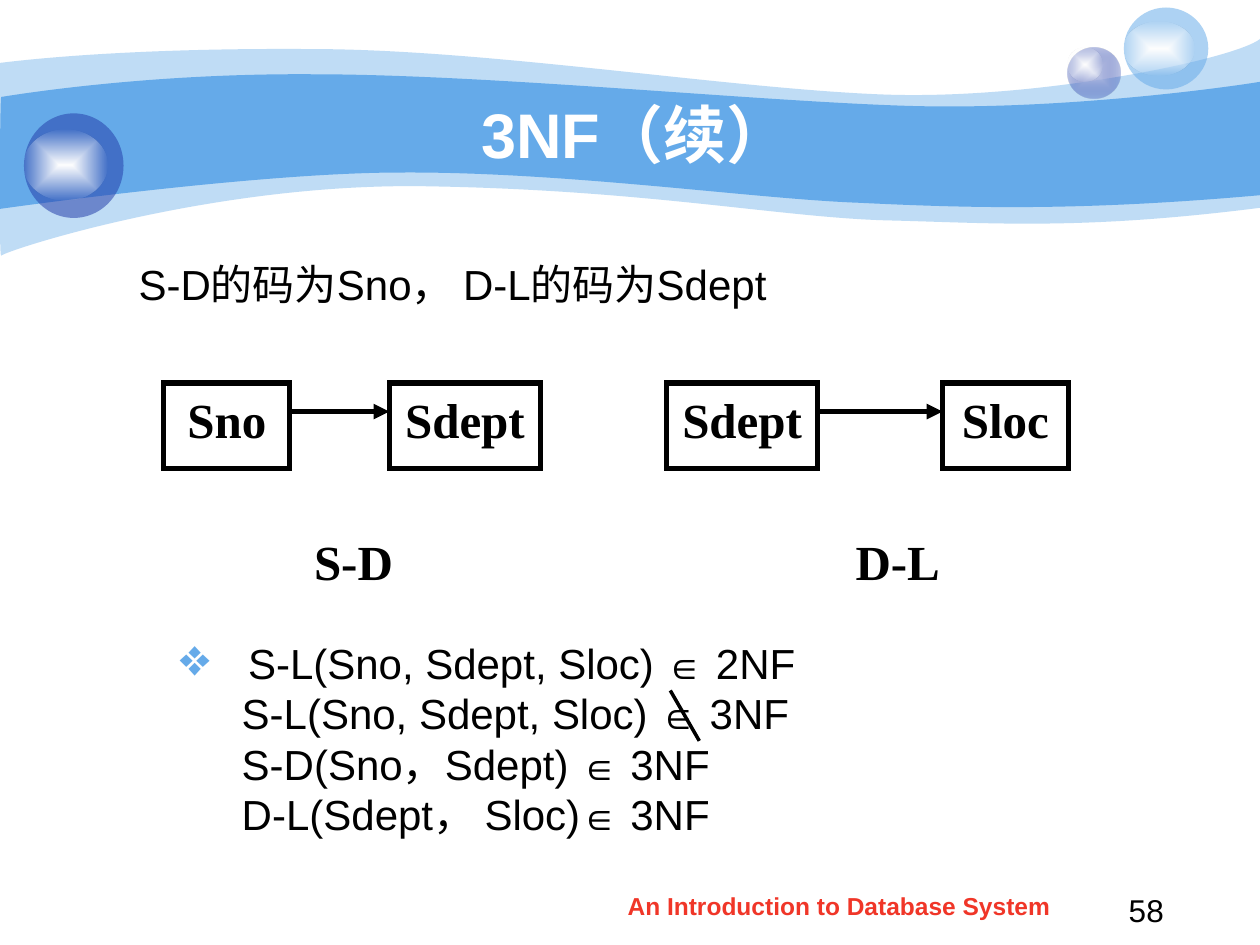
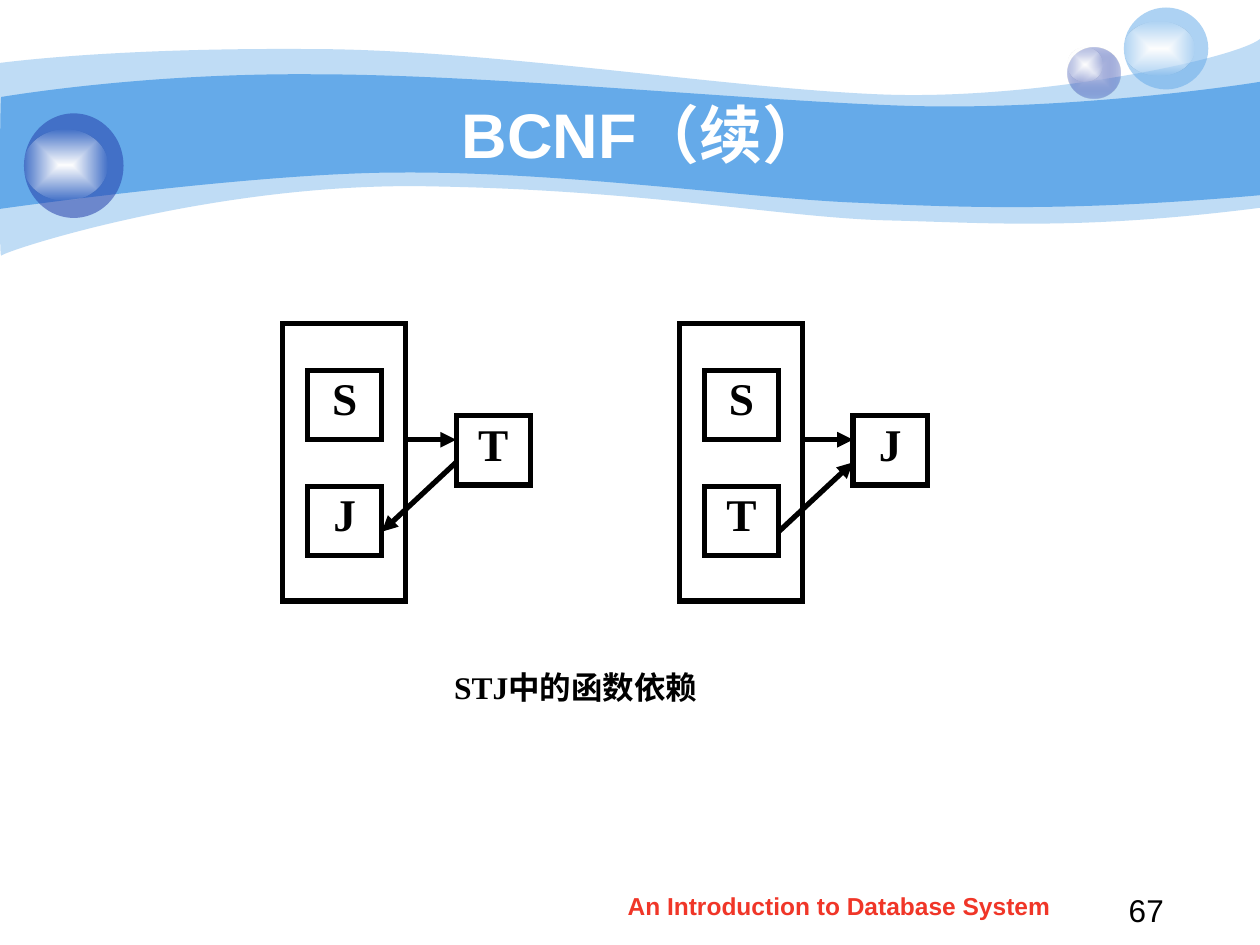
from lxml.etree import SubElement
from pptx import Presentation
from pptx.dml.color import RGBColor
from pptx.enum.shapes import MSO_CONNECTOR as Connector, MSO_SHAPE as Shape
from pptx.enum.text import MSO_ANCHOR as Anchor, MSO_AUTO_SIZE as AutoSize, PP_ALIGN as Align
from pptx.oxml import parse_xml
from pptx.oxml.ns import nsdecls, qn
from pptx.util import Inches, Pt

SKY = RGBColor(0x65, 0xAA, 0xE9)
NAVY = RGBColor(0x23, 0x3D, 0xA9)
LAVENDER = RGBColor(0xC7, 0xCE, 0xE9)
RED = RGBColor(0xF0, 0x36, 0x28)
BLACK = RGBColor(0, 0, 0)
WHITE = RGBColor(0xFF, 0xFF, 0xFF)

SANS, SERIF = "Arial", "Times New Roman"

# The slide is a grid of 100 columns by 75 rows of square cells.
COLUMNS, ROWS = 100, 75
CELL = Inches(0.1)
TITLE_AND_BODY, TITLE_ONLY = 1, 5

# Each band: start point, then lines (x, y) or curves (two controls and the end).
PALE_BAND = ((0, 5), [
    (2.4, 4.7, 10.7, 3.8, 24.7, 3.9), (38.6, 3.9, 57.5, 7, 69.9, 7.5),
    (82.2, 8, 98, 4.7, 100, 3.1), (100, 16.5),
    (85.8, 18.3, 78.7, 17.7, 70.5, 17.5), (62.2, 17.3, 51.5, 15.1, 34.3, 14.8),
    (17.2, 14.4, 0.4, 19.9, 0.1, 20.3), (-0.1, 20.8, 0, 7.5, 0, 5)])
STRONG_BAND = ((0.1, 7.7), [
    (0.2, 7.7, 11, 5.8, 24.8, 5.9), (38.6, 5.9, 59.5, 8, 71.8, 8.4),
    (84.1, 8.8, 97.6, 6.9, 100, 6.5), (100, 15.5),
    (85.3, 16.8, 76.5, 16.5, 68.2, 16.1), (59.9, 15.8, 44.7, 13.6, 31.7, 13.7),
    (20.3, 13.7, -0.2, 16.6, -0.1, 16.6), (0, 16.6, 0, 7.7, 0.1, 7.7)])

# Each ball: its disc, its shine, and the colour stops (colour, opacity) of the disc.
BALLS = [
    ((84.7, 3.8, 4.2, 4), (84.7, 3.8, 2.8, 2.7), [(LAVENDER, 100), (NAVY, 31)]),
    ((89.2, 0.6, 6.7, 6.5), (89.2, 1.7, 5.6, 4.3), [(SKY, 53)]),
    ((1.9, 9, 7.9, 8.3), (1.9, 10.3, 6.6, 5.6), [(NAVY, 53)]),
]
SHINE = [(WHITE, 100), (WHITE, 0)]


def cells(*lengths):
    return [round(length * CELL) for length in lengths]


def paint(shape, stops):
    """Fill a borderless shape with one translucent colour or a gradient from its centre."""
    colours = [f'<a:srgbClr val="{colour}"><a:alpha val="{opacity * 1000}"/></a:srgbClr>'
               for colour, opacity in stops]
    if len(colours) == 1:
        xml = f'<a:solidFill {nsdecls("a")}>{colours[0]}</a:solidFill>'
    else:
        xml = (f'<a:gradFill {nsdecls("a")} rotWithShape="1"><a:gsLst>'
               f'<a:gs pos="0">{colours[0]}</a:gs><a:gs pos="100000">{colours[1]}</a:gs>'
               '</a:gsLst><a:path path="rect">'
               '<a:fillToRect l="50000" t="50000" r="50000" b="50000"/></a:path></a:gradFill>')
    shape.shadow.inherit = False
    shape.line.fill.background()
    shape.fill.background()
    properties = shape._element.spPr
    properties.replace(properties.find(qn("a:noFill")), parse_xml(xml))


def set_bullet(paragraph, margin=0.0, hang=0.0, symbol=None):
    """Set the left margin, hanging indent and bullet, in grid cells."""
    properties = paragraph._p.get_or_add_pPr()
    left, indent = cells(margin, -hang)
    properties.set("marL", str(left))
    properties.set("indent", str(indent))
    if symbol:
        colour = SubElement(properties, qn("a:buClr"))
        SubElement(colour, qn("a:srgbClr")).set("val", str(SKY))
        SubElement(properties, qn("a:buSzPct")).set("val", "125000")
        SubElement(properties, qn("a:buChar")).set("char", symbol)
    else:
        SubElement(properties, qn("a:buNone"))


def style(paragraph, font_name, size, colour=BLACK, bold=False, align=Align.CENTER):
    paragraph.alignment = align
    font = paragraph.font
    font.name, font.size, font.bold = font_name, Pt(size), bold
    font.color.rgb = colour


class Deck:
    def __init__(self):
        self.presentation = Presentation()
        self.presentation.slide_width = COLUMNS * CELL
        self.presentation.slide_height = ROWS * CELL
        self.slide = None

    def new_slide(self, title, number, layout):
        self.slide = self.presentation.slides.add_slide(
            self.presentation.slide_layouts[layout])
        placeholders = list(self.slide.placeholders)
        self.band(PALE_BAND, 41)
        self.band(STRONG_BAND, 100)
        for disc, shine, stops in BALLS:
            self.ball(disc, stops)
            self.ball(shine, SHINE)
        for placeholder in placeholders:
            self.slide.shapes._spTree.append(placeholder._element)
        paragraph = self.fill_placeholder(
            self.slide.shapes.title, (10, 7.5, 80.8, 6.2), title, Anchor.MIDDLE)
        style(paragraph, SANS, 36, WHITE, bold=True)
        self.text((46.9, 70.2, 39.4, 3.5), "An Introduction to Database System",
                  SANS, 14, RED, bold=True)
        paragraph = self.text((88.6, 70.6, 7.9, 3.7), str(number), SANS, 18,
                              align=Align.LEFT)
        paragraph.line_spacing = 0.9

    def band(self, outline, opacity):
        """Outline the control points, then join each three of a curve into a Bezier."""
        start, segments = outline
        points = [cells(*segment[i:i + 2])
                  for segment in segments for i in range(0, len(segment), 2)]
        builder = self.slide.shapes.build_freeform(*cells(*start))
        builder.add_line_segments(points)
        shape = builder.convert_to_shape()
        steps = iter(list(shape._element.iter(qn("a:lnTo"))))
        for segment in segments:
            step = next(steps)
            if len(segment) == 6:
                step.tag = qn("a:cubicBezTo")
                for _ in range(2):
                    control = next(steps)
                    step.append(control[0])
                    control.getparent().remove(control)
        paint(shape, [(SKY, opacity)])

    def ball(self, place, stops):
        paint(self.slide.shapes.add_shape(Shape.OVAL, *cells(*place)), stops)

    def fill_placeholder(self, placeholder, place, text, anchor):
        (placeholder.left, placeholder.top,
         placeholder.width, placeholder.height) = cells(*place)
        frame = placeholder.text_frame
        frame.auto_size = AutoSize.NONE
        frame.vertical_anchor = anchor
        frame.text = text
        return frame.paragraphs[0]

    def body(self, place, text, margin):
        paragraph = self.fill_placeholder(
            self.slide.placeholders[1], place, text, Anchor.TOP)
        set_bullet(paragraph, margin)
        paragraph.space_before = Pt(0)
        style(paragraph, SANS, 24, align=Align.LEFT)

    def text_frame(self, place):
        frame = self.slide.shapes.add_textbox(*cells(*place)).text_frame
        frame.word_wrap = True
        return frame

    def text(self, place, text, font_name, size, colour=BLACK, bold=False,
             align=Align.CENTER):
        paragraph = self.text_frame(place).paragraphs[0]
        paragraph.text = text
        style(paragraph, font_name, size, colour, bold, align)
        return paragraph

    def box(self, place, text="", size=28, line_spacing=1.0):
        shape = self.slide.shapes.add_shape(Shape.RECTANGLE, *cells(*place))
        shape.shadow.inherit = False
        shape.fill.background()
        shape.line.color.rgb = BLACK
        shape.line.width = Pt(3)
        SubElement(shape._element.spPr.find(qn("a:ln")), qn("a:miter")).set("lim", "800000")
        if text:
            shape.text_frame.text = text
            shape.text_frame.vertical_anchor = Anchor.TOP
            paragraph = shape.text_frame.paragraphs[0]
            paragraph.line_spacing = line_spacing
            style(paragraph, SERIF, size, bold=True)

    def line(self, start, end, width=3, arrow=True):
        connector = self.slide.shapes.add_connector(
            Connector.STRAIGHT, *cells(*start, *end))
        connector.line.color.rgb = BLACK
        connector.line.width = Pt(width)
        properties = connector._element.spPr
        if arrow:
            SubElement(properties.find(qn("a:ln")), qn("a:tailEnd")).set("type", "triangle")
        SubElement(properties, qn("a:effectLst"))

    def memberships(self, place, relations):
        """List relations and their normal forms, with a bullet on the first one."""
        frame = self.text_frame(place)
        for index, (relation, normal_form) in enumerate(relations):
            if index:
                paragraph = frame.add_paragraph()
                set_bullet(paragraph, 8.4)
            else:
                paragraph = frame.paragraphs[0]
                set_bullet(paragraph, 8.9, 5.4, "❖")
            style(paragraph, SANS, 24, align=Align.LEFT)
            paragraph.add_run().text = relation
            member_sign = paragraph.add_run()
            member_sign.text = "∈"
            member_sign.font.size = Pt(22)
            paragraph.add_run().text = f" {normal_form}"


def third_normal_form(deck):
    deck.new_slide("3NF（续）", 58, TITLE_AND_BODY)
    deck.body((5, 20, 90, 49.2), "S-D的码为Sno， D-L的码为Sdept", 5)

    top, height = 30.4, 6.8
    dependencies = [
        (("Sno", 13, 10), ("Sdept", 30.9, 12), ("S-D", 23, 10.1)),
        (("Sdept", 52.9, 12), ("Sloc", 74.8, 10), ("D-L", 66.8, 8.9)),
    ]
    for source, target, (relation, left, width) in dependencies:
        for name, box_left, box_width in (source, target):
            deck.box((box_left, top, box_width, height), name)
        arrow_row = top + height / 3
        deck.line((source[1] + source[2], arrow_row), (target[1], arrow_row))
        deck.text((left, 41.7, width, height), relation, SERIF, 28, bold=True)

    deck.memberships((9.8, 50.1, 57.5, 17), [
        ("S-L(Sno, Sdept, Sloc) ", "2NF"),
        ("S-L(Sno, Sdept, Sloc) ", "3NF"),
        ("S-D(Sno，Sdept) ", "3NF"),
        ("D-L(Sdept， Sloc)", "3NF"),
    ])
    deck.line((53.2, 54.8), (55.5, 58.8), width=2, arrow=False)


def boyce_codd_normal_form(deck):
    deck.new_slide(" BCNF（续）", 67, TITLE_ONLY)
    width, height = 5.9, 5.5
    diagrams = [(22.4, "S", "J", "T", True), (53.9, "S", "T", "J", False)]
    for left, upper, lower, outside, points_back in diagrams:
        inner, outer = left + 2, left + 13.8
        deck.box((left, 25.7, 9.8, 22))
        for name, box_left, top in ((upper, inner, 29.4), (lower, inner, 38.6),
                                    (outside, outer, 33)):
            deck.box((box_left, top, width, height), name, 25.9, 0.9)
        deck.line((left + 9.8, 34.9), (outer, 34.9))
        ends = [(inner + width, 42.2), (outer, 36.7)]
        deck.line(*(reversed(ends) if points_back else ends))
    deck.text((34.3, 52.5, 22.8, 5.5), "STJ中的函数依赖", SERIF, 18, bold=True)


def main():
    deck = Deck()
    third_normal_form(deck)
    boyce_codd_normal_form(deck)
    deck.presentation.save("out.pptx")


if __name__ == "__main__":
    main()
